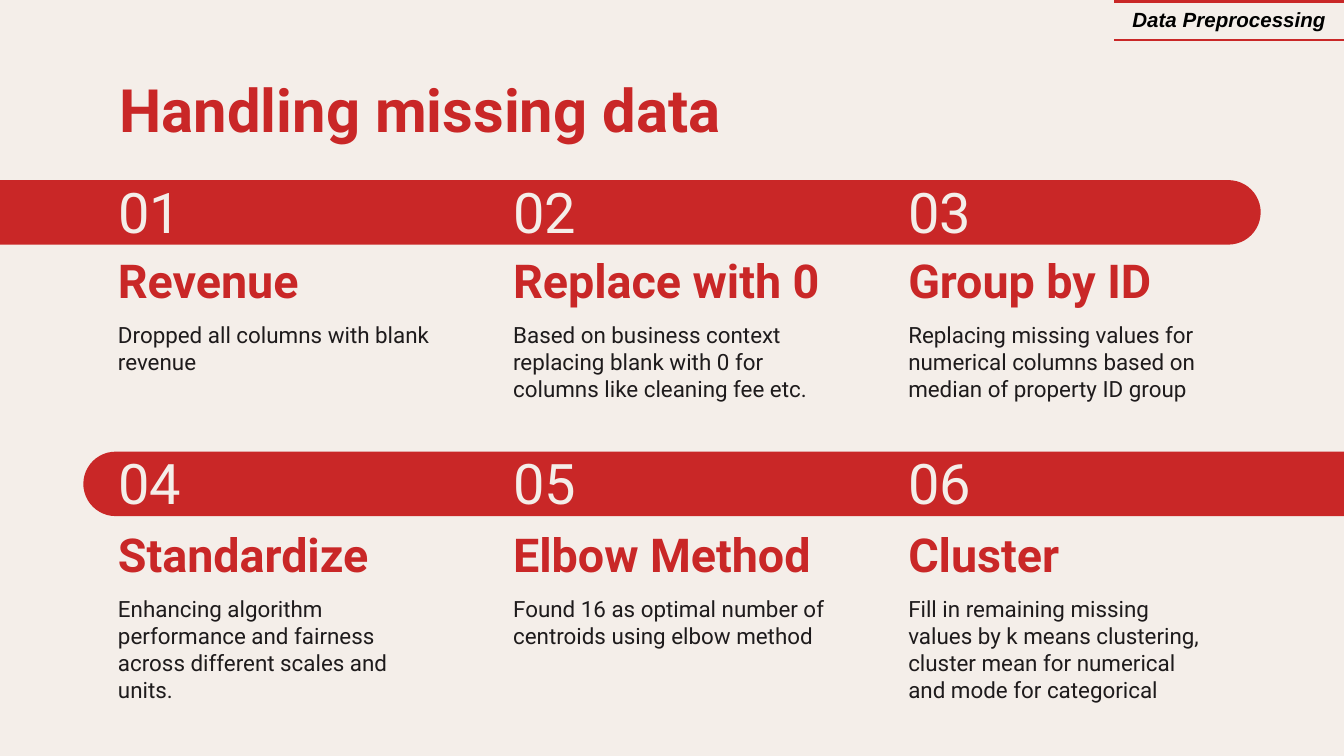
from dataclasses import dataclass

from lxml.etree import SubElement
from pptx import Presentation
from pptx.dml.color import RGBColor
from pptx.enum.shapes import MSO_SHAPE as Shape
from pptx.enum.text import MSO_ANCHOR as Anchor, MSO_AUTO_SIZE as AutoSize, PP_ALIGN as Align
from pptx.oxml.ns import qn
from pptx.util import Inches, Pt

RED = "C92727"
CREAM = "F4EEE9"
INK = "1E1B1C"
BLACK = "000000"

LEFT = 0.78
COLUMN_STEP = 2.94
COLUMN_WIDTH = 2.56
BAR_LENGTH = 9.38
BAR_HEIGHT = 0.48


@dataclass(frozen=True)
class Step:
    heading: str
    description: str
    heading_width: float = COLUMN_WIDTH
    description_width: float = COLUMN_WIDTH
    description_height: float = 0.85


@dataclass(frozen=True)
class Band:
    top: float
    left: float
    rotation: int
    heading_offset: float
    steps: tuple[Step, ...]


@dataclass(frozen=True)
class TextStyle:
    size: float
    color: str
    bold: bool = False
    italic: bool = False
    font: str = "Roboto"


NUMBER = TextStyle(30, CREAM)
HEADING = TextStyle(25, RED, bold=True)
BODY = TextStyle(12, INK)
TITLE = TextStyle(32, RED, bold=True)
TAG = TextStyle(11, BLACK, bold=True, italic=True, font="Arial")

BANDS = (
    Band(1.34, 0, 90, 0.53, (
        Step("Revenue", "Dropped all columns with blank revenue"),
        Step("Replace with 0", "Based on business context replacing blank with 0 "
             "for columns like cleaning fee etc."),
        Step("Group by ID", "Replacing missing values for numerical columns "
             "based on median of property ID group", heading_width=2.3),
    )),
    Band(3.36, 0.62, 270, 0.55, (
        Step("Standardize", "Enhancing algorithm performance and fairness "
             "across different scales and units.", description_height=0.98),
        Step("Elbow Method", "Found 16 as optimal number of centroids using elbow method",
             description_height=0.53),
        Step("Cluster", "Fill in remaining missing values by k means clustering, "
             "cluster mean for numerical and mode for categorical",
             description_width=2.38, description_height=0.41),
    )),
)


def rgb(color: str) -> RGBColor:
    return RGBColor.from_string(color)


def add_run(paragraph, text: str, style: TextStyle) -> None:
    run = paragraph.add_run()
    run.text = text
    run.font.name = style.font
    run.font.size = Pt(style.size)
    run.font.bold = style.bold
    run.font.italic = style.italic
    run.font.color.rgb = rgb(style.color)


def fill_text(shape, text: str, style: TextStyle, anchor: Anchor, inset: float) -> None:
    frame = shape.text_frame
    frame.word_wrap = True
    frame.auto_size = AutoSize.NONE
    frame.vertical_anchor = anchor
    frame.margin_left = frame.margin_right = Inches(0.1)
    frame.margin_top = frame.margin_bottom = Inches(inset)
    paragraph = frame.paragraphs[0]
    paragraph.alignment = Align.LEFT
    add_run(paragraph, text, style)


def add_text(slide, left: float, top: float, width: float, height: float,
             text: str, style: TextStyle, anchor: Anchor, inset: float = 0) -> None:
    box = slide.shapes.add_textbox(Inches(left), Inches(top), Inches(width), Inches(height))
    fill_text(box, text, style, anchor, inset)


def add_bar(slide, band: Band) -> None:
    shift = (BAR_LENGTH - BAR_HEIGHT) / 2
    bar = slide.shapes.add_shape(
        Shape.ROUND_2_SAME_RECTANGLE, Inches(band.left + shift), Inches(band.top - shift),
        Inches(BAR_HEIGHT), Inches(BAR_LENGTH))
    bar.rotation = band.rotation
    bar.adjustments[0] = 0.5
    bar.adjustments[1] = 0
    bar.shadow.inherit = False
    bar.fill.solid()
    bar.fill.fore_color.rgb = rgb(RED)
    bar.line.fill.background()


def add_band(slide, band: Band, first_number: int) -> None:
    add_bar(slide, band)
    heading_top = band.top + band.heading_offset
    for column, step in enumerate(band.steps):
        left = LEFT + column * COLUMN_STEP
        add_text(slide, left, band.top, 1.39, BAR_HEIGHT,
                 f"{first_number + column:02d}", NUMBER, Anchor.BOTTOM)
        add_text(slide, left, heading_top, step.heading_width, 0.42,
                 step.heading, HEADING, Anchor.BOTTOM)
        add_text(slide, left, heading_top + 0.42, step.description_width,
                 step.description_height, step.description, BODY, Anchor.TOP, 0.1)


def set_borders(cell) -> None:
    properties = cell._tc.get_or_add_tcPr()
    for position, side in enumerate(("L", "R", "T", "B")):
        line = properties.makeelement(qn(f"a:ln{side}"), {"w": str(Pt(1.5))})
        if side in "TB":
            SubElement(SubElement(line, qn("a:solidFill")), qn("a:srgbClr"), val=RED)
        else:
            SubElement(line, qn("a:noFill"))
        properties.insert(position, line)


def add_tag(slide, text: str) -> None:
    table = slide.shapes.add_table(
        1, 1, Inches(8.29), Inches(0.01), Inches(1.71), Inches(0.29)).table
    table.first_row = False
    table.horz_banding = False
    cell = table.cell(0, 0)
    cell.fill.background()
    cell.vertical_anchor = Anchor.MIDDLE
    paragraph = cell.text_frame.paragraphs[0]
    paragraph.alignment = Align.CENTER
    add_run(paragraph, text, TAG)
    set_borders(cell)


def main() -> None:
    presentation = Presentation()
    presentation.slide_width = Inches(10)
    presentation.slide_height = Inches(10 * 9 / 16)
    slide = presentation.slides.add_slide(presentation.slide_layouts[5])
    slide.background.fill.solid()
    slide.background.fill.fore_color.rgb = rgb(CREAM)

    title = slide.shapes.title
    title.left, title.top = Inches(0.79), Inches(0.49)
    title.width, title.height = Inches(8.43), Inches(0.63)
    fill_text(title, "Handling missing data", TITLE, Anchor.MIDDLE, 0.1)

    first_number = 1
    for band in BANDS:
        add_band(slide, band, first_number)
        first_number += len(band.steps)
    add_tag(slide, "Data Preprocessing")
    presentation.save("out.pptx")


if __name__ == "__main__":
    main()
